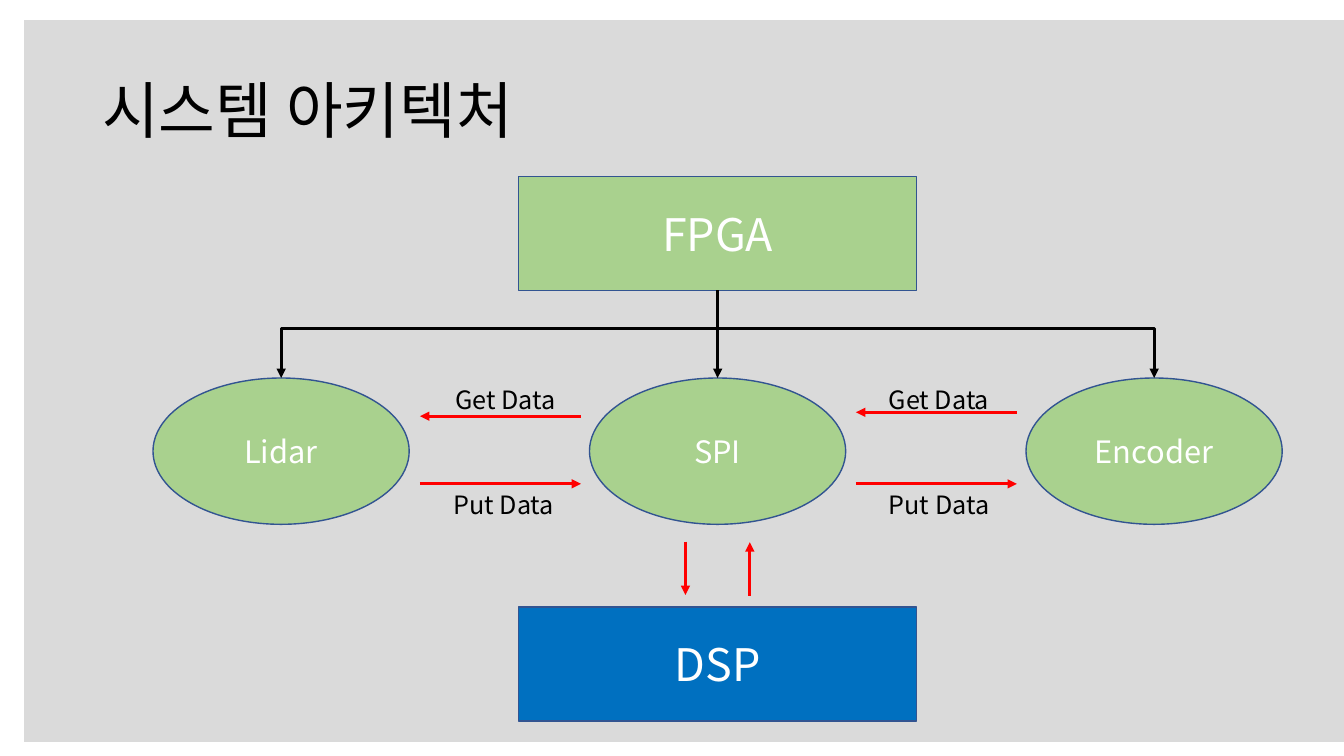
from pptx import Presentation
from pptx.dml.color import RGBColor
from pptx.enum.shapes import MSO_CONNECTOR as Conn, MSO_SHAPE as Kind
from pptx.enum.text import MSO_ANCHOR as Anchor, PP_ALIGN as Align
from pptx.oxml.ns import qn
from pptx.util import Pt
from lxml.etree import SubElement as Sub

FONT = "Noto Sans CJK KR"
BLACK = RGBColor(0x00, 0x00, 0x00)
WHITE = RGBColor(0xFF, 0xFF, 0xFF)
GRAY = RGBColor(0xD9, 0xD9, 0xD9)
GREEN = RGBColor(0xA9, 0xD1, 0x8E)
BLUE = RGBColor(0x00, 0x70, 0xC0)
EDGE = RGBColor(0x32, 0x54, 0x91)
RED = RGBColor(0xFF, 0x00, 0x00)

MID = 512.6             # centre of the diagram
STEP = 311.8            # distance between node centres
BOX_W, BOX_H = 284.4, 81.5
NODE_W, NODE_H = 183, 104.5
FPGA_TOP, NODE_TOP, DSP_TOP = 126, 270, 433.5
BUS_Y = 234.7           # height of the branch line


def put_text(shape, text, size, color, align=Align.LEFT,
             anchor=Anchor.TOP, space=None):
    frame = shape.text_frame
    frame.word_wrap = True
    frame.vertical_anchor = anchor
    para = frame.paragraphs[0]
    para.alignment = align
    if space:
        para.line_spacing = space
    run = para.add_run()
    run.text = text
    run.font.name = FONT
    run.font.size = Pt(size)
    run.font.color.rgb = color
    Sub(run.font._element, qn("a:ea"), typeface=FONT)


def add_label(slide, text, x, y, w, h, size=18, **form):
    box = slide.shapes.add_textbox(Pt(x), Pt(y), Pt(w), Pt(h))
    put_text(box, text, size, BLACK, **form)


def add_panel(slide):
    panel = slide.shapes.add_shape(Kind.RECTANGLE, Pt(17.2), Pt(14.4),
                                   Pt(943), Pt(515.5))
    panel.shadow.inherit = False
    panel.fill.solid()
    panel.fill.fore_color.rgb = GRAY
    panel.line.fill.background()
    tint = panel._element.spPr.find(qn("a:solidFill"))[0]
    Sub(tint, qn("a:alpha"), val="96000")


def add_block(slide, kind, text, mid, top, w, h, fill, size):
    block = slide.shapes.add_shape(kind, Pt(mid - w / 2), Pt(top),
                                   Pt(w), Pt(h))
    block.shadow.inherit = False
    block.fill.solid()
    block.fill.fore_color.rgb = fill
    block.line.color.rgb = EDGE
    block.line.width = Pt(1)
    put_text(block, text, size, WHITE, align=Align.CENTER,
             anchor=Anchor.MIDDLE)


def style_line(line, color, *ends):
    line.line.color.rgb = color
    line.line.width = Pt(2.25)
    for end in ends:
        Sub(line.line._get_or_add_ln(), qn("a:" + end), type="triangle")


def add_arrow(slide, x1, y1, x2, y2, color=RED):
    arrow = slide.shapes.add_connector(Conn.STRAIGHT, Pt(x1), Pt(y1),
                                       Pt(x2), Pt(y2))
    style_line(arrow, color, "tailEnd")
    Sub(arrow._element.spPr, qn("a:effectLst"))


def add_bus(slide, left, right):
    # Open outline with an arrowhead at each end
    path = slide.shapes.build_freeform(Pt(left), Pt(NODE_TOP))
    path.add_line_segments([(Pt(left), Pt(BUS_Y)), (Pt(right), Pt(BUS_Y)),
                            (Pt(right), Pt(NODE_TOP))], close=False)
    bus = path.convert_to_shape()
    bus.shadow.inherit = False
    bus.fill.background()
    style_line(bus, BLACK, "headEnd", "tailEnd")


def add_swap(slide, left, get_y, get_x, put_x):
    # Get and put arrows between two nodes, with their labels
    right, put_y = left + 115, 345.6
    add_arrow(slide, right, get_y, left, get_y)
    add_arrow(slide, left, put_y, right, put_y)
    add_label(slide, "Get Data", get_x, 270.7, 98.6, 29)
    add_label(slide, "Put Data", put_x, 346, 98.6, 29)


def main():
    deck = Presentation()
    deck.slide_width, deck.slide_height = Pt(960), Pt(540)
    slide = deck.slides.add_slide(deck.slide_layouts[6])

    # Backdrop and title
    add_panel(slide)
    add_label(slide, "시스템 아키텍처", 66, 28.8, 828, 104.4, size=44,
              anchor=Anchor.MIDDLE, space=0.9)

    # Boxes at top and bottom
    for text, top, fill in (("FPGA", FPGA_TOP, GREEN), ("DSP", DSP_TOP, BLUE)):
        add_block(slide, Kind.RECTANGLE, text, MID, top, BOX_W, BOX_H, fill, 32)

    # Row of nodes
    for i, text in enumerate(("Lidar", "SPI", "Encoder")):
        add_block(slide, Kind.OVAL, text, MID + (i - 1) * STEP, NODE_TOP,
                  NODE_W, NODE_H, GREEN, 22)

    # Branches from the FPGA
    add_arrow(slide, MID, FPGA_TOP + BOX_H, MID, NODE_TOP, BLACK)
    add_bus(slide, MID - STEP, MID + STEP)

    # Data flow between nodes, and to and from the DSP
    add_swap(slide, 300, 297.3, 318.2, 316.8)
    add_swap(slide, 611.4, 294.5, 627.8, 627.8)
    add_arrow(slide, MID - 23, 386.8, MID - 23, 425)
    add_arrow(slide, MID + 23, 425.5, MID + 23, 387.3)

    deck.save("out.pptx")


if __name__ == "__main__":
    main()
